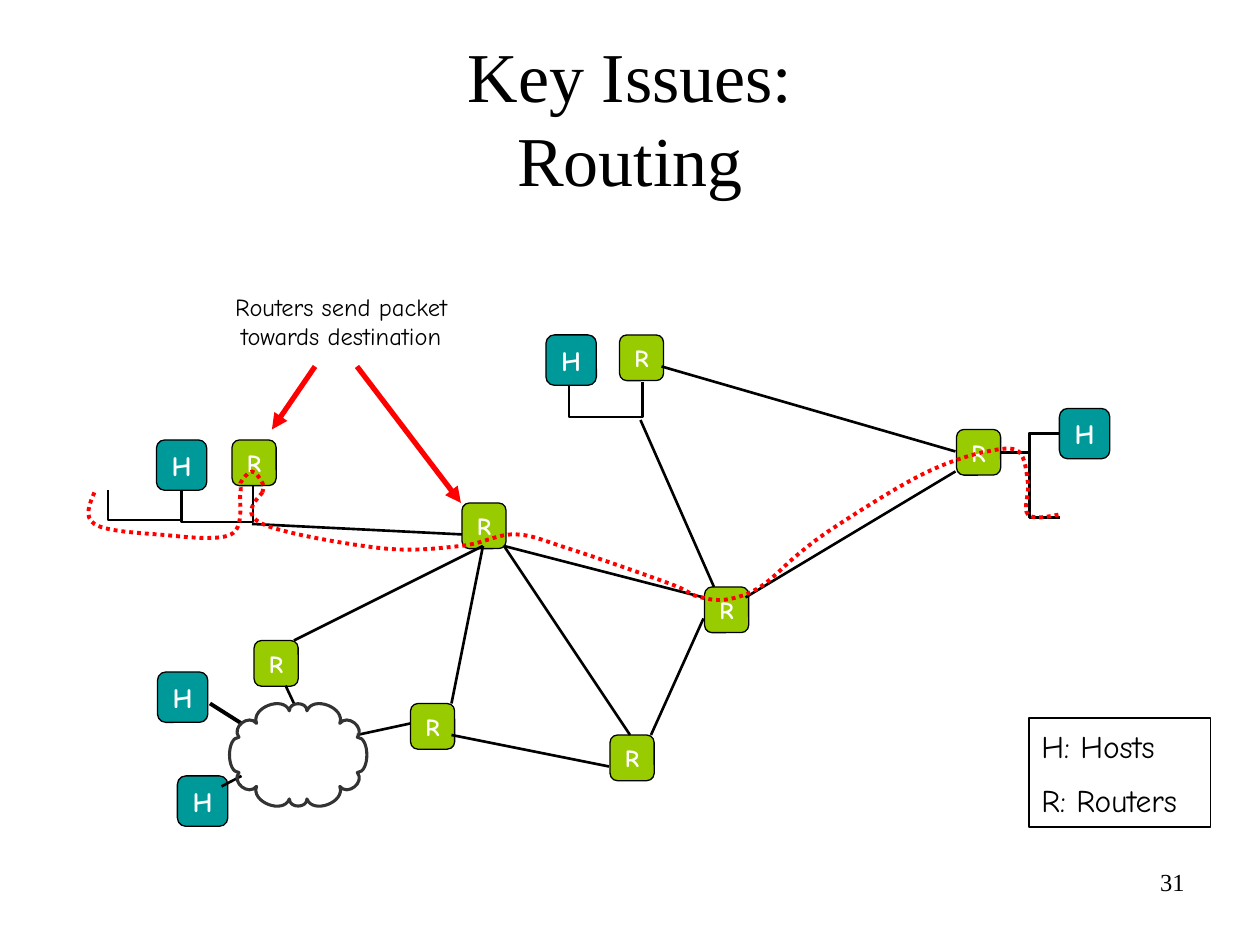
from dataclasses import dataclass
from itertools import pairwise
from math import hypot

from lxml import etree
from pptx import Presentation
from pptx import util as u
from pptx.dml.color import RGBColor
from pptx.enum import dml, shapes, text
from pptx.oxml.ns import qn

COLUMNS, ROWS = 120, 90
WIDTH, HEIGHT = u.Inches(10), u.Inches(7.5)
NUDGE = 0.02  # smallest run, in cells, that an elbow's adjustment can scale


@dataclass(frozen=True)
class Theme:
    ink: str = "000000"
    paper: str = "FFFFFF"
    router: str = "99CC00"
    host: str = "009999"
    route: str = "FF0000"
    cloud: str = "333333"
    serif: str = "Times New Roman"
    hand: str = "Comic Neue"
    title: int = 40
    legend: int = 18
    host_label: int = 16
    body: int = 14


THEME = Theme()


@dataclass(frozen=True)
class Box:
    """An area in grid cells; whatever is inside is measured from its corner."""
    left: float
    top: float
    width: float
    height: float

    def point(self, column, row):
        return (u.Emu(round((self.left + column) * WIDTH / COLUMNS)),
                u.Emu(round((self.top + row) * HEIGHT / ROWS)))

    def inner(self, column, row, width, height):
        return Box(self.left + column, self.top + row, width, height)

    def frame(self):
        left, top = self.point(0, 0)
        right, bottom = self.point(self.width, self.height)
        return left, top, right - left, bottom - top


def write(shape, lines, size, font=THEME.hand, color=THEME.ink, bold=False, wrap=True,
          align=text.PP_ALIGN.CENTER, anchor=text.MSO_ANCHOR.TOP, gap=0):
    frame = shape.text_frame
    frame.word_wrap, frame.vertical_anchor = wrap, anchor
    for index, line in enumerate(lines):
        paragraph = frame.add_paragraph() if index else frame.paragraphs[0]
        paragraph.text, paragraph.alignment = line, align
        if index:
            paragraph.space_before = u.Pt(gap)
        for name, value in {"size": u.Pt(size), "name": font, "bold": bold}.items():
            setattr(paragraph.font, name, value)
        paragraph.font.color.rgb = RGBColor.from_string(color)


def stroke(shape, color, width):
    shape.line.color.rgb = RGBColor.from_string(color)
    shape.line.width = u.Pt(width)


def add_block(slide, kind, box, line_width, fill=None):
    shape = slide.shapes.add_shape(kind, *box.frame())
    shape.shadow.inherit = False
    if fill:
        shape.fill.solid()
        shape.fill.fore_color.rgb = RGBColor.from_string(fill)
    else:
        shape.fill.background()
    stroke(shape, THEME.ink, line_width)
    return shape


def add_node(slide, area, position, label, side, fill, size):
    shape = add_block(slide, shapes.MSO_SHAPE.FLOWCHART_ALTERNATE_PROCESS,
                      area.inner(*position, *side), 0.75, fill)
    write(shape, [label], size, color=THEME.paper, bold=True, wrap=False,
          anchor=text.MSO_ANCHOR.MIDDLE)


def add_line(slide, area, start, end, color=THEME.ink, width=1.5, arrow=False,
             kind=shapes.MSO_CONNECTOR.STRAIGHT):
    line = slide.shapes.add_connector(kind, *area.point(*start), *area.point(*end))
    stroke(line, color, width)
    properties = line._element.spPr
    etree.SubElement(properties, qn("a:effectLst"))
    if arrow:
        etree.SubElement(properties.find(qn("a:ln")), qn("a:tailEnd"), type="triangle")
    return line


def add_elbow(slide, area, start, end, via, upright):
    """Three-leg connector whose middle leg lies at row (upright) or column via."""
    (x1, y1), (x2, y2) = start, end
    run = (y2 - y1 if upright else x2 - x1) or NUDGE
    share = (via - (y1 if upright else x1)) / run
    if upright:  # lay the frame on its side, then turn it a quarter
        middle_x, middle_y, rise = (x1 + x2) / 2, y1 + run / 2, x2 - x1
        start = middle_x - run / 2, middle_y + rise / 2
        end = middle_x + run / 2, middle_y - rise / 2
    else:
        end = x1 + run, y2
    line = add_line(slide, area, start, end, kind=shapes.MSO_CONNECTOR.ELBOW)
    properties = line._element.spPr
    if upright:
        properties.find(qn("a:xfrm")).set("rot", "5400000")
    geometry = properties.find(qn("a:prstGeom"))
    values = geometry.find(qn("a:avLst"))
    if values is None:
        values = etree.SubElement(geometry, qn("a:avLst"))
    etree.SubElement(values, qn("a:gd"), name="adj1", fmla=f"val {round(share * 100000)}")


def add_curve(slide, area, points, color, width):
    """Chain of cubic curves: a start, then two handles and an end for each."""
    start, *rest = [area.point(*point) for point in points]
    builder = slide.shapes.build_freeform(*start)
    builder.add_line_segments(rest, close=False)
    shape = builder.convert_to_shape()
    legs = shape._element.xpath(".//a:lnTo")
    for index in range(0, len(legs), 3):
        curve = etree.Element(qn("a:cubicBezTo"))
        legs[index].addprevious(curve)
        for leg in legs[index:index + 3]:
            curve.append(leg[0])
            leg.getparent().remove(leg)
    shape.shadow.inherit = False
    shape.fill.background()
    stroke(shape, color, width)
    return shape


def midpoint(a, b):
    return (a[0] + b[0]) / 2, (a[1] + b[1]) / 2


def spline(knots):
    slopes = [((c[0] - a[0]) / 6, (c[1] - a[1]) / 6) for a, c in zip(knots, knots[2:])]
    slopes = [None, *slopes, None]
    points = [knots[0]]
    for (a, b), (leave, arrive) in zip(pairwise(knots), pairwise(slopes)):
        first = leave and (a[0] + leave[0], a[1] + leave[1])
        second = arrive and (b[0] - arrive[0], b[1] - arrive[1])
        points += [first or midpoint(a, second), second or midpoint(b, first), b]
    return points


def add_cloud(slide, area, center):
    quarter = [(0.84, -4.2), (3.96, -3), (5.64, -1.68)]
    right = quarter + [(x, -y) for x, y in reversed(quarter)]
    cusps = right + [(-x, y) for x, y in reversed(right)]
    cusps = [(center[0] + x, center[1] + y) for x, y in cusps]
    half = [1.6, 1.2, 1.2, 1.2, 1.6, 0.9]
    points = [cusps[0]]
    for (a, b), height in zip(pairwise(cusps + cusps[:1]), half * 2):
        dx, dy = b[0] - a[0], b[1] - a[1]
        out_x, out_y = (height * d / hypot(dx, dy) for d in (dy, -dx))
        points += [(a[0] + out_x, a[1] + out_y), (b[0] + out_x, b[1] + out_y), b]
    add_curve(slide, area, points, THEME.cloud, 1.75)


def draw_network(slide, area):
    routers = [(33.1, 43), (38, 23.9), (52.1, 46), (85.1, 16.9), (16.1, 17.9),
               (18.2, 37), (53, 7.9), (61.1, 31.9)]
    hosts = [(8.9, 17.9), (9, 40), (94.9, 14.9), (10.9, 49.9), (46, 7.9)]
    for places, *style in ((routers, "R", (4.2, 4.35), THEME.router, THEME.body),
                           (hosts, "H", (4.8, 4.8), THEME.host, THEME.host_label)):
        for place in places:
            add_node(slide, area, place, *style)

    links = [((15.1, 50.9), (17, 49.9)), ((21.2, 41.3), (22, 43)), ((28, 46), (33.1, 44.9)),
             ((18, 25.9), (38, 26.9)), ((37, 43), (40, 28)), ((85, 20.9), (65, 32.9)),
             ((22, 37), (40, 28)), ((55, 16), (62, 31.9)), ((37, 46), (52, 49)),
             ((54, 46), (42, 28)), ((61, 34.9), (56, 46)), ((85, 19), (57, 10.9)),
             ((61, 32.9), (42, 28))]
    for start, end in links:
        add_line(slide, area, start, end)
    add_line(slide, area, (14, 43), (17, 44.9), width=2.25)
    for elbow in (((4.3, 22.7), (11.3, 22.7), 25.7, True), ((11.3, 22.7), (18.1, 22.3), 25.7, True),
                  ((48.2, 12.7), (55.2, 12.4), 15.7, True), ((94.9, 17.3), (94.9, 25.3), 91.9, False),
                  ((94.9, 17.3), (89.3, 19.1), 92, False)):
        add_elbow(slide, area, *elbow)
    add_cloud(slide, area, (22.4, 47.9))

    to_gateway = [(3, 22.9), (3, 25.9), (9, 26.9), (16, 26.9), (16.9, 22.9), (16.9, 22),
                  (18, 20.9), (19, 22), (19, 22.9)]
    to_destination = [(19, 22.9), (19, 25.9), (30.2, 28.2), (37.9, 28), (43, 26.9), (48, 28.2),
                      (57.8, 31.6), (60.4, 32.8), (63.2, 33.1), (66.4, 31.9), (70, 28.8),
                      (73.2, 26.4), (79.6, 22.4), (83.8, 20.3), (88, 19), (91, 19),
                      (91.9, 22), (91.9, 25), (94.9, 25)]
    for knots in (to_gateway, to_destination):
        route = add_curve(slide, area, spline(knots), THEME.route, 2.25)
        route.line.dash_style = dml.MSO_LINE.ROUND_DOT

    for start, end in (((24, 10.9), (19.9, 16.9)), ((28, 10.9), (37.9, 23.9))):
        add_line(slide, area, start, end, THEME.route, 3, arrow=True)
    caption = slide.shapes.add_textbox(*area.inner(13, 3.2, 27, 6.8).frame())
    write(caption, ["Routers send packet towards destination"], THEME.body)


def place_title(slide, box):
    title = slide.shapes.title
    title.left, title.top, title.width, title.height = box.frame()
    write(title, ["Key Issues:\vRouting"], THEME.title, THEME.serif,
          anchor=text.MSO_ANCHOR.MIDDLE)


def draw_legend(slide, box):
    legend = add_block(slide, shapes.MSO_SHAPE.RECTANGLE, box, 1)
    write(legend, ["H: Hosts", "R: Routers"], THEME.legend, wrap=False, gap=9,
          align=text.PP_ALIGN.LEFT, anchor=text.MSO_ANCHOR.MIDDLE)


def place_number(slide, box):
    number = slide.shapes.add_textbox(*box.frame())
    write(number, ["31"], THEME.body, THEME.serif, align=text.PP_ALIGN.RIGHT)


def main():
    presentation = Presentation()
    presentation.slide_width, presentation.slide_height = WIDTH, HEIGHT
    slide = presentation.slides.add_slide(presentation.slide_layouts[5])
    place_title(slide, Box(6, 3.6, 108, 15))
    place_number(slide, Box(86, 82, 28, 6.2))
    draw_network(slide, Box(6, 24, 102, 56))
    draw_legend(slide, Box(98, 68.4, 17.3, 10.4))
    presentation.save("out.pptx")


if __name__ == "__main__":
    main()
